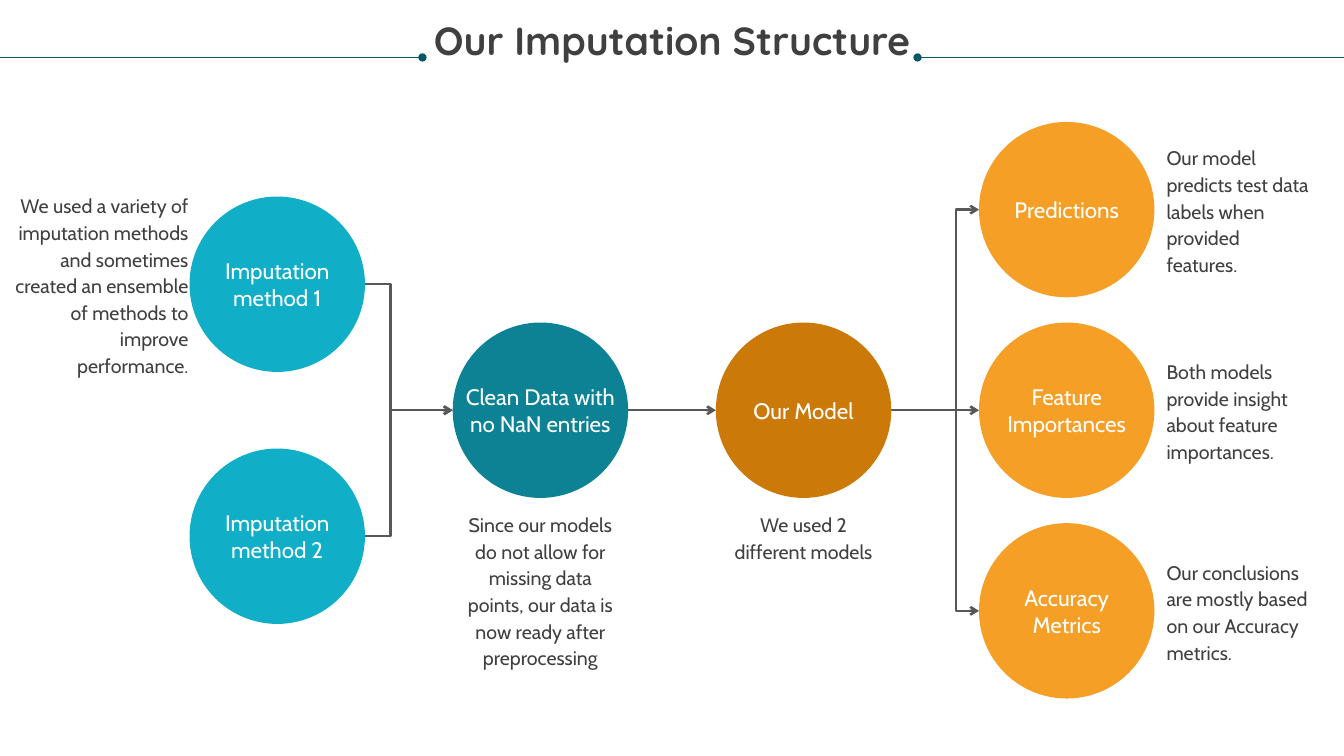
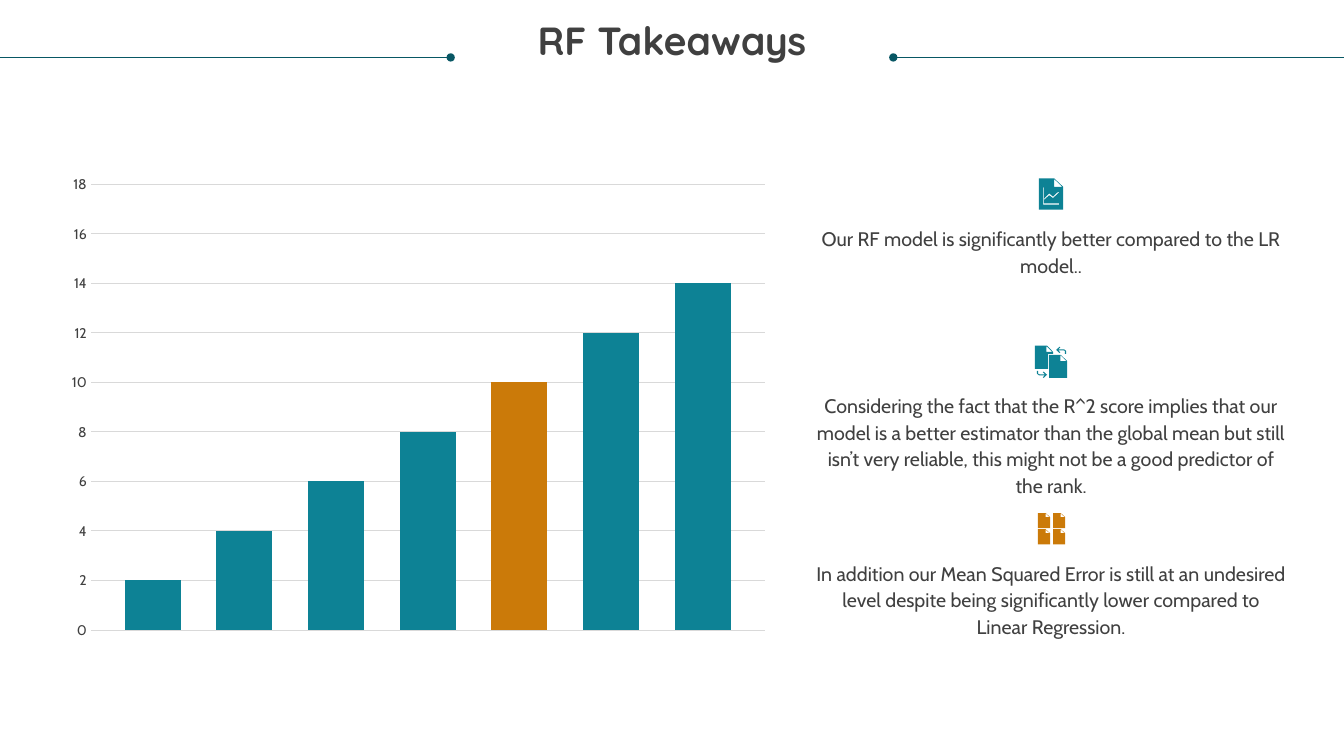
from dataclasses import dataclass

from lxml import etree
from pptx import Presentation
from pptx.chart.data import CategoryChartData
from pptx.dml.color import RGBColor
from pptx.enum.chart import XL_CHART_TYPE as ChartType, XL_TICK_MARK as TickMark
from pptx.enum.shapes import MSO_CONNECTOR as Connector, MSO_SHAPE as Preset
from pptx.enum.text import MSO_ANCHOR as Anchor, MSO_AUTO_SIZE as AutoSize, PP_ALIGN as Align
from pptx.oxml.ns import qn
from pptx.util import Inches, Pt


# Theme
@dataclass(frozen=True)
class Theme:
    ink: str = "404040"
    white: str = "FFFFFF"
    rule: str = "085764"
    arrow: str = "585858"
    grid: str = "D9D9D9"
    sky: str = "11AEC7"
    teal: str = "0D8295"
    brown: str = "CB7A09"
    orange: str = "F59F26"
    heading_font: str = "Quicksand"
    body_font: str = "Cabin"
    title_size: int = 28
    label_size: int = 16
    note_size: int = 14
    axis_size: int = 10
    note_leading: int = 19


THEME = Theme()
STYLES = {
    "title": dict(name=THEME.heading_font, size=Pt(THEME.title_size), bold=True, color=THEME.ink),
    "label": dict(name=THEME.body_font, size=Pt(THEME.label_size), color=THEME.white),
    "note": dict(name=THEME.body_font, size=Pt(THEME.note_size), color=THEME.ink),
    "axis": dict(name=THEME.body_font, size=Pt(THEME.axis_size), color=THEME.ink),
}

# Content: label, label lines, column, rise from the middle row, colour
STEPS = [
    ("Imputation method 1", 2, 0, -1.25, THEME.sky),
    ("Imputation method 2", 2, 0, 1.25, THEME.sky),
    ("Clean Data with no NaN entries", 2, 1, 0, THEME.teal),
    ("Our Model", 1, 2, 0, THEME.brown),
    ("Predictions", 1, 3, -1.99, THEME.orange),
    ("Feature Importances", 2, 3, 0, THEME.orange),
    ("Accuracy Metrics", 2, 3, 1.99, THEME.orange),
]
# From step, to step, bend as a share of the way
FLOWS = [(0, 2, 0.29), (1, 2, 0.29), (2, 3, None), (3, 4, 0.74), (3, 5, None), (3, 6, 0.74)]
# Step, side of the circle, lines, text
NOTES = [
    (0, "left", 7, "We used a variety of imputation methods and sometimes created "
                   "an ensemble of methods to improve performance."),
    (2, "below", 6, "Since our models do not allow for missing data points, "
                    "our data is now ready after preprocessing"),
    (3, "below", 2, "We used 2 different models"),
    (4, "right", 4, "Our model predicts test data labels when provided features."),
    (5, "right", 4, "Both models provide insight about feature importances."),
    (6, "right", 4, "Our conclusions are mostly based on our Accuracy metrics."),
]
BARS = [2, 4, 6, 8, 10, 12, 14]
HIGHLIGHT = 10
TAKEAWAYS = [
    ("report", THEME.teal, 2, "Our RF model is significantly better compared to the LR model.."),
    ("exchange", THEME.teal, 4,
     "Considering the fact that the R^2 score implies that our model is a better estimator than "
     "the global mean but still isn’t very reliable, this might not be a good predictor of the rank."),
    ("pages", THEME.brown, 3,
     "In addition our Mean Squared Error is still at an undesired level despite being "
     "significantly lower compared to Linear Regression."),
]

# Icon outlines as shares of their box; inner outlines are holes
FOLD = [(0.63, 0.02), (0.63, 0.27), (0.96, 0.27)]
PAGE = [[(0, 0), (0.63, 0), (1, 0.27), (1, 1), (0, 1)], FOLD]
BACK_PAGE = [[(0, 0), (0.67, 0), (1, 0.27), (1, 0.35), (0.72, 0.35), (0.72, 1), (0, 1)], FOLD]
AXES = [(0.17, 0.29), (0.2, 0.29), (0.2, 0.8), (0.83, 0.8), (0.83, 0.84), (0.17, 0.84)]
TREND = [(0.21, 0.65), (0.42, 0.48), (0.58, 0.58), (0.8, 0.42),
         (0.83, 0.45), (0.58, 0.63), (0.42, 0.54), (0.21, 0.69)]
TURN_LEFT = [[(0, 0.45), (0.35, 0), (0.42, 0.1), (0.22, 0.38), (0.8, 0.38), (1, 0.6), (1, 1),
              (0.88, 1), (0.88, 0.6), (0.75, 0.52), (0.22, 0.52), (0.42, 0.8), (0.35, 0.9)]]
TURN_RIGHT = [[(1 - x, 1 - y) for x, y in TURN_LEFT[0]]]
# Icon parts: outlines, offset from the icon's top centre, width, height
ICONS = {
    "report": [(PAGE + [AXES, TREND], -0.12, 0, 0.24, 0.31)],
    "exchange": [(BACK_PAGE, -0.16, 0, 0.18, 0.23), (PAGE, -0.02, 0.09, 0.18, 0.23),
                 (TURN_LEFT, 0.05, 0.01, 0.1, 0.07), (TURN_RIGHT, -0.14, 0.25, 0.1, 0.07)],
    "pages": [(PAGE, x, y, 0.12, 0.15) for y in (0, 0.16) for x in (-0.13, 0.02)],
}

# Grid, in inches
WIDTH, HEIGHT = 13.33, 7.5
RULE_Y = 0.57
DIAMETER, FIRST_X, PITCH, MIDDLE_Y = 1.74, 2.75, 2.61, 4.07
LABEL_WIDTH, LABEL_LINE = 1.5, 0.27
NOTE_WIDTH, NOTE_LINE = 1.47, THEME.note_leading / 72
TAKEAWAY_X, TAKEAWAY_WIDTH, TAKEAWAY_Y, TAKEAWAY_PITCH = 8.09, 4.67, 1.77, 1.66


def box(*lengths):
    return [Inches(length) for length in lengths]


def apply_font(font, style):
    for name, value in STYLES[style].items():
        if name == "color":
            font.color.rgb = RGBColor.from_string(value)
        else:
            setattr(font, name, value)


def fill_shape(shape, color):
    shape.shadow.inherit = False
    shape.fill.solid()
    shape.fill.fore_color.rgb = RGBColor.from_string(color)
    shape.line.fill.background()


def write_text(shape, text, style, align, anchor, leading=None):
    frame = shape.text_frame
    settings = dict(word_wrap=True, auto_size=AutoSize.NONE, vertical_anchor=anchor,
                    margin_left=0, margin_right=0, margin_top=0, margin_bottom=0)
    for name, value in settings.items():
        setattr(frame, name, value)
    paragraph = frame.paragraphs[0]
    paragraph.alignment, paragraph.line_spacing = align, leading
    run = paragraph.add_run()
    run.text = text
    apply_font(run.font, style)


def add_text(slide, bounds, *content):
    write_text(slide.shapes.add_textbox(*box(*bounds)), *content)


def add_line(slide, start, end, color, weight, ending, bend=None):
    kind = Connector.STRAIGHT if bend is None else Connector.ELBOW
    line = slide.shapes.add_connector(kind, *box(*start, *end))
    line.line.color.rgb = RGBColor.from_string(color)
    line.line.width = Pt(weight)
    properties = line._element.spPr
    etree.SubElement(properties.find(qn("a:ln")), qn("a:tailEnd"), type=ending)
    etree.SubElement(properties, qn("a:effectLst"))
    if bend is not None:
        adjustments = properties.find(qn("a:prstGeom")).get_or_add_avLst()
        etree.SubElement(adjustments, qn("a:gd"), name="adj1", fmla=f"val {round(bend * 100000)}")


def add_icon(slide, parts, center, top, color):
    shapes = slide.shapes.add_group_shape().shapes if len(parts) > 1 else slide.shapes
    for outlines, left, down, width, height in parts:
        builder = None
        for outline in outlines:
            points = [box(center + left + x * width, top + down + y * height) for x, y in outline]
            if builder is None:
                builder = shapes.build_freeform(*points[0], scale=1.0)
            else:
                builder.move_to(*points[0])
            builder.add_line_segments(points[1:], close=True)
        fill_shape(builder.convert_to_shape(), color)


def add_titled_slide(presentation, title, left_end, right_end):
    slide = presentation.slides.add_slide(presentation.slide_layouts[5])
    holder = slide.shapes.title
    holder.left, holder.top, holder.width, holder.height = box(0.25, 0.21, WIDTH - 0.5, 0.42)
    write_text(holder, title, "title", Align.CENTER, Anchor.TOP, 0.9)
    for edge, end in ((0, left_end), (WIDTH, right_end)):
        add_line(slide, (edge, RULE_Y), (end, RULE_Y), THEME.rule, 0.5, "oval")
    return slide


def build_structure(presentation):
    slide = add_titled_slide(presentation, "Our Imputation Structure", 4.19, 9.1)
    radius = DIAMETER / 2
    centers = [(FIRST_X + column * PITCH, MIDDLE_Y + rise) for _, _, column, rise, _ in STEPS]

    # Arrows between the circles
    for source, target, bend in FLOWS:
        (start_x, start_y), (end_x, end_y) = centers[source], centers[target]
        add_line(slide, (start_x + radius, start_y), (end_x - radius, end_y),
                 THEME.arrow, 1.75, "arrow", bend)

    # Circles with their labels
    for (label, lines, _, _, color), (x, y) in zip(STEPS, centers):
        circle = slide.shapes.add_shape(
            Preset.OVAL, *box(x - radius, y - radius, DIAMETER, DIAMETER))
        fill_shape(circle, color)
        height = lines * LABEL_LINE
        add_text(slide, (x - LABEL_WIDTH / 2, y - height / 2, LABEL_WIDTH, height),
                 label, "label", Align.CENTER, Anchor.MIDDLE)

    # Notes beside and below
    for step, side, lines, text in NOTES:
        x, y = centers[step]
        height = lines * NOTE_LINE
        left, top, width, align = {
            "left": (0.13, y - height / 2, DIAMETER, Align.RIGHT),
            "right": (x + radius + 0.12, y - height / 2, NOTE_WIDTH, Align.LEFT),
            "below": (x - NOTE_WIDTH / 2, y + radius + 0.12, NOTE_WIDTH, Align.CENTER),
        }[side]
        add_text(slide, (left, top, width, height), text, "note", align,
                 Anchor.MIDDLE, Pt(THEME.note_leading))


def add_bar_chart(slide):
    data = CategoryChartData()
    data.categories = ["1"]
    for number, value in enumerate(BARS, 1):
        data.add_series(f"Series {number}", [value])
    chart = slide.shapes.add_chart(
        ChartType.COLUMN_CLUSTERED, *box(0.57, 1.65, 7.16, 4.78), data).chart
    chart.has_title = chart.has_legend = False
    apply_font(chart.font, "axis")

    plot = chart.plots[0]
    plot.gap_width, plot.overlap, plot.vary_by_categories = 121, -63, False
    for series, value in zip(plot.series, BARS):
        series.format.fill.solid()
        color = THEME.brown if value == HIGHLIGHT else THEME.teal
        series.format.fill.fore_color.rgb = RGBColor.from_string(color)

    chart.category_axis.visible = False
    axis = chart.value_axis
    settings = dict(minimum_scale=0, maximum_scale=18, major_unit=2, has_major_gridlines=True,
                    major_tick_mark=TickMark.NONE, minor_tick_mark=TickMark.NONE)
    for name, value in settings.items():
        setattr(axis, name, value)
    axis.format.line.fill.background()
    apply_font(axis.tick_labels.font, "axis")
    grid_line = axis.major_gridlines.format.line
    grid_line.color.rgb = RGBColor.from_string(THEME.grid)
    grid_line.width = Pt(0.75)


def build_takeaways(presentation):
    slide = add_titled_slide(presentation, "RF Takeaways", 4.47, WIDTH - 4.47)
    add_bar_chart(slide)
    for row, (icon, color, lines, text) in enumerate(TAKEAWAYS):
        top = TAKEAWAY_Y + row * TAKEAWAY_PITCH
        add_icon(slide, ICONS[icon], TAKEAWAY_X + TAKEAWAY_WIDTH / 2, top, color)
        add_text(slide, (TAKEAWAY_X, top + 0.45, TAKEAWAY_WIDTH, lines * NOTE_LINE),
                 text, "note", Align.CENTER, Anchor.TOP, Pt(THEME.note_leading))


presentation = Presentation()
presentation.slide_width, presentation.slide_height = box(WIDTH, HEIGHT)
build_structure(presentation)
build_takeaways(presentation)
presentation.save("out.pptx")
